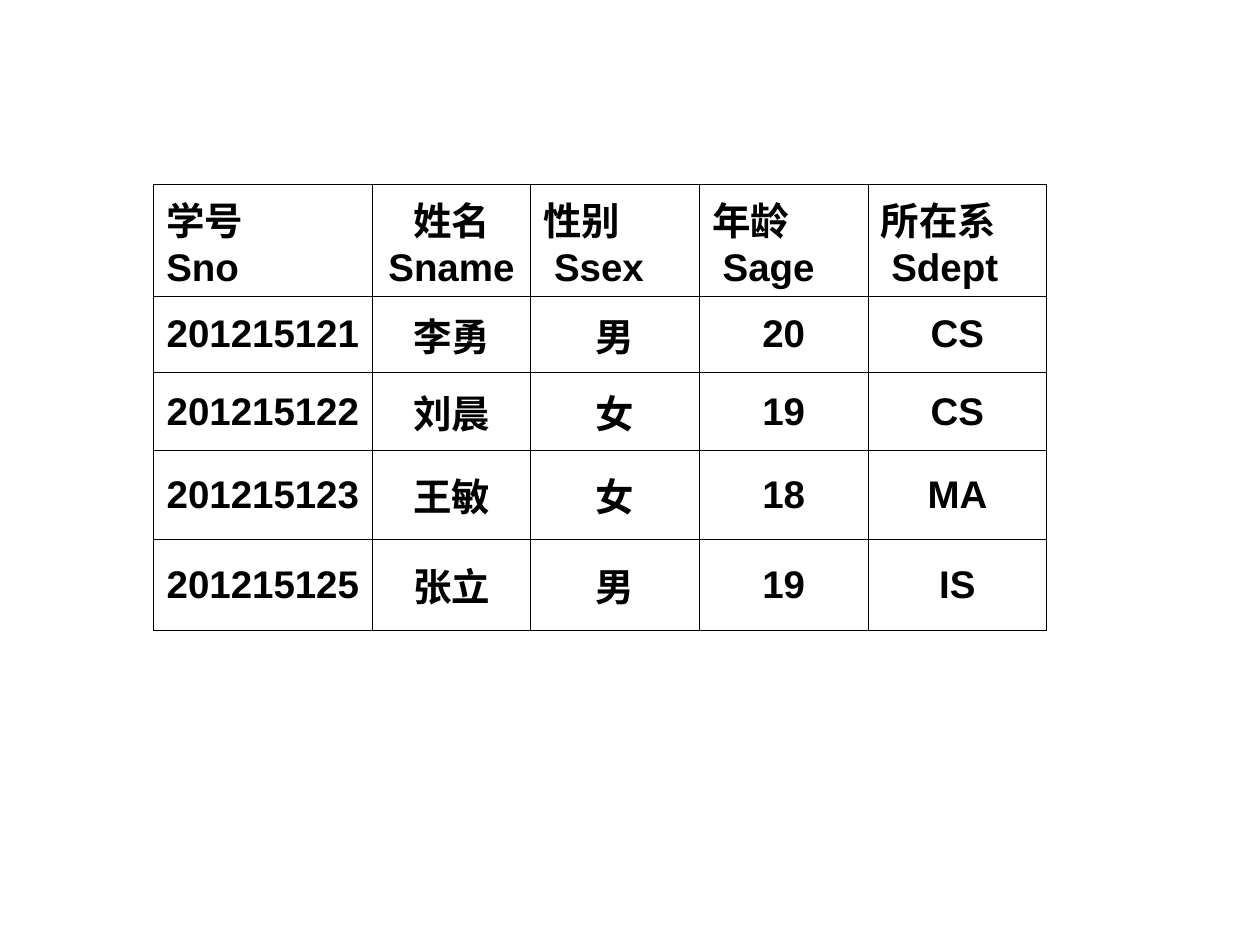
from lxml import etree
from pptx import Presentation
from pptx.dml.color import RGBColor
from pptx.enum.text import MSO_ANCHOR, PP_ALIGN
from pptx.oxml.ns import qn
from pptx.util import Cm, Pt

LEFT, CENTER = PP_ALIGN.LEFT, PP_ALIGN.CENTER
MIDDLE = MSO_ANCHOR.MIDDLE

COLORS = {"text": "000000", "border": "000000"}
FONT_NAME = "Arial"
FONT_SIZE = Pt(22)
BORDER_WIDTH = Pt(0.45)

COLUMN_WIDTHS = [4.4, 3.2, 3.4, 3.4, 3.6]
ROW_HEIGHTS = [2.11, 1.55, 1.57, 1.78, 1.85]
HEADER_ALIGNMENTS = [LEFT, CENTER, LEFT, LEFT, LEFT]
STUDENTS = [
    ["学号\nSno", "姓名\nSname", "性别\n Ssex", "年龄\n Sage", "所在系\n Sdept"],
    ["201215121", "李勇", "男", "20", "CS"],
    ["201215122", "刘晨", "女", "19", "CS"],
    ["201215123", "王敏", "女", "18", "MA"],
    ["201215125", "张立", "男", "19", "IS"],
]


def add_borders(cell):
    """Draw a thin line on all four sides of a cell."""
    properties = cell._tc.get_or_add_tcPr()
    for side in ("lnL", "lnR", "lnT", "lnB"):
        line = etree.SubElement(properties, qn(f"a:{side}"), w=str(int(BORDER_WIDTH)))
        fill = etree.SubElement(line, qn("a:solidFill"))
        etree.SubElement(fill, qn("a:srgbClr"), val=COLORS["border"])


def fill_cell(cell, text, alignment):
    """Write and format one table cell."""
    add_borders(cell)
    cell.fill.background()
    cell.vertical_anchor = MIDDLE
    cell.text = text
    for paragraph in cell.text_frame.paragraphs:
        paragraph.alignment = alignment
        paragraph.font.name = FONT_NAME
        paragraph.font.size = FONT_SIZE
        paragraph.font.bold = True
        paragraph.font.color.rgb = RGBColor.from_string(COLORS["text"])


def add_student_table(slide, left, top):
    """Place the student table with its top left corner at the given point."""
    width, height = Cm(sum(COLUMN_WIDTHS)), Cm(sum(ROW_HEIGHTS))
    table = slide.shapes.add_table(
        len(STUDENTS), len(COLUMN_WIDTHS), left, top, width, height
    ).table
    table.first_row = False
    table.horz_banding = False

    # Column and row sizes
    for column, column_width in zip(table.columns, COLUMN_WIDTHS):
        column.width = Cm(column_width)
    for row, row_height in zip(table.rows, ROW_HEIGHTS):
        row.height = Cm(row_height)

    # Header and student records
    for row_index, record in enumerate(STUDENTS):
        for column_index, text in enumerate(record):
            alignment = HEADER_ALIGNMENTS[column_index] if row_index == 0 else CENTER
            fill_cell(table.cell(row_index, column_index), text, alignment)


def main():
    presentation = Presentation()
    presentation.slide_width = Cm(25.4)
    presentation.slide_height = Cm(19.05)
    slide = presentation.slides.add_slide(presentation.slide_layouts[6])
    add_student_table(slide, Cm(3.1), Cm(3.72))
    presentation.save("out.pptx")


if __name__ == "__main__":
    main()
